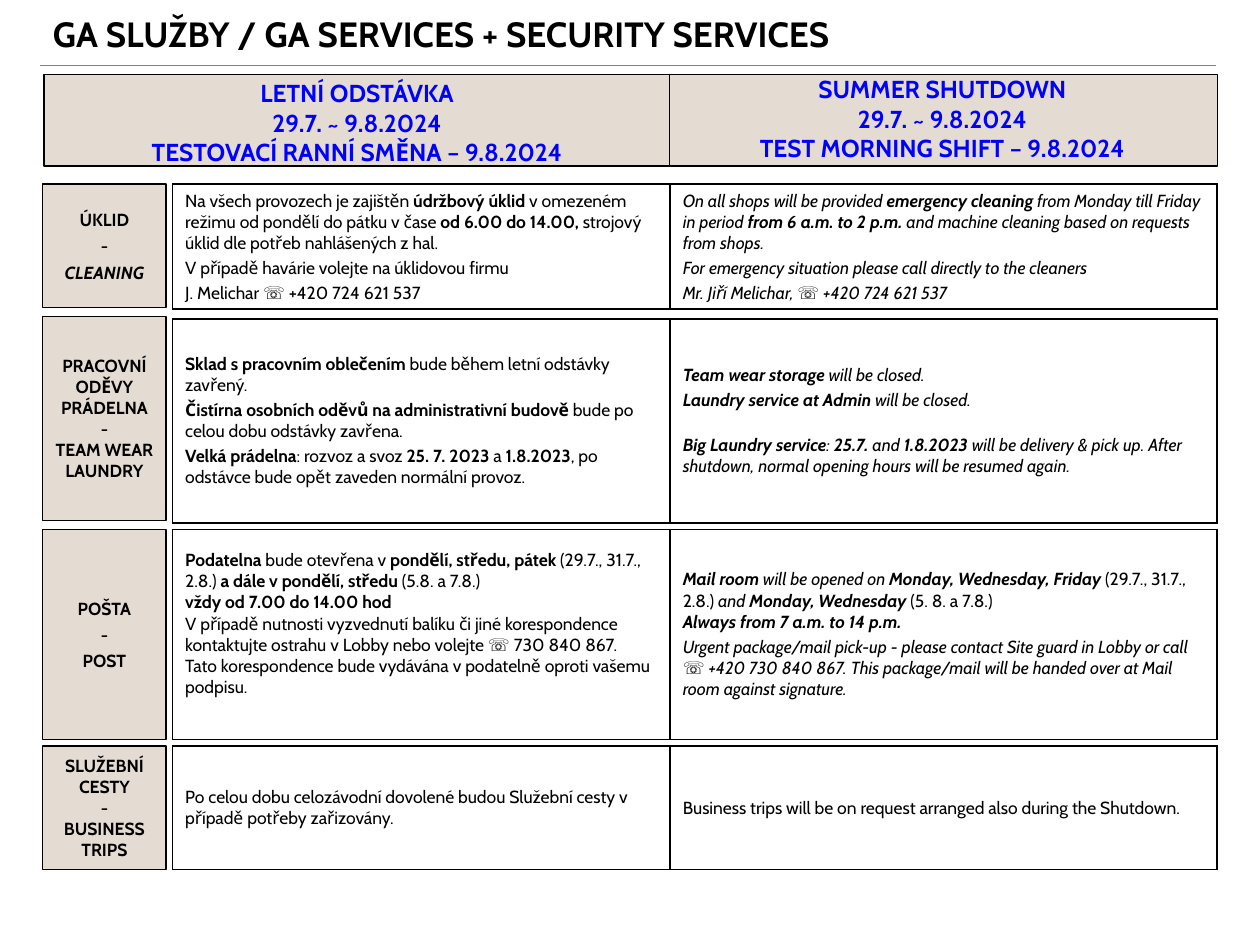
from dataclasses import dataclass

import pptx
import pptx.dml.color
import pptx.enum.shapes
import pptx.enum.text
import pptx.oxml
import pptx.oxml.ns
import pptx.util
from lxml import etree

Cm, Pt = pptx.util.Cm, pptx.util.Pt
RGBColor = pptx.dml.color.RGBColor
MSO_SHAPE = pptx.enum.shapes.MSO_SHAPE
MSO_ANCHOR = pptx.enum.text.MSO_ANCHOR
PP_ALIGN = pptx.enum.text.PP_ALIGN

FONT = "Cabin"
BLACK = RGBColor(0, 0, 0)
WHITE = RGBColor(255, 255, 255)
GREY = RGBColor(0x80, 0x80, 0x80)
BLUE = RGBColor(0, 0, 255)
SAND = RGBColor(0xE4, 0xDC, 0xD3)

LABEL_X, LABEL_W = 0.86, 2.49
TABLE_X, COLUMNS = 3.48, (10.03, 11.02)
DIVIDER_X = 13.49
BAND_TOP, BAND_H = 1.5, 1.85


@dataclass
class Para:
    """Text in which *...* is bold and _..._ switches italic over."""
    text: str
    before: float = 0
    italic: bool = False


@dataclass
class Section:
    top: float
    height: float
    label: list[Para]
    czech: list[Para]
    english: list[Para]
    table_shift: float = 0
    czech_bottom: float = 0.13


def paras(*texts: str, before: float = 0, italic: bool = False) -> list[Para]:
    return [Para(t, before, italic) for t in texts]


SECTIONS = [
    Section(
        3.71, 2.49,
        paras("*ÚKLID*", "*-*", "*_CLEANING_*", before=3),
        paras("Na všech provozech je zajištěn *údržbový úklid *v omezeném režimu od "
              "pondělí do pátku v čase *od 6.00 do 14.00, *strojový úklid dle potřeb "
              "nahlášených z hal.",
              "V případě havárie volejte na úklidovou firmu",
              "J. Melichar ☏ +420 724 621 537", before=2),
        paras("On all shops will be provided *emergency cleaning *from Monday till "
              "Friday in period *from 6 a.m. to 2 p.m. *and machine cleaning based on "
              "requests from shops.",
              "For emergency situation please call directly to the cleaners",
              "Mr. Jiří Melichar, ☏ +420 724 621 537", before=2, italic=True)),
    Section(
        6.38, 4.11,
        paras("*PRACOVNÍ*", "*ODĚVY*", "*PRÁDELNA*", "*-*", "*TEAM WEAR*", "*LAUNDRY*"),
        paras("*Sklad s pracovním oblečením *bude během letní odstávky zavřený.",
              "*Čistírna osobních oděvů na administrativní budově *bude po celou dobu "
              "odstávky zavřena.",
              "*Velká prádelna*: rozvoz a svoz *25. 7. 2023 *a *1.8.2023*, po odstávce "
              "bude opět zaveden normální provoz.", before=2),
        paras("*Team wear storage *will be closed.",
              "*Laundry service at Admin *will be closed.", before=2, italic=True)
        + paras("*Big Laundry service*: *25.7. *and* 1.8.2023 *will be delivery & pick "
                "up. After shutdown, normal opening hours will be resumed again.",
                before=14, italic=True),
        table_shift=0.05),
    Section(
        10.67, 4.24,
        paras("*POŠTA*", "*-*", "*POST*", before=3),
        paras("*Podatelna *bude otevřena v* pondělí, středu, pátek *(29.7., 31.7., 2.8.)"
              "* a dále v pondělí, středu *(5.8. a 7.8.)",
              "*vždy od 7.00 do 14.00 hod*",
              "V případě nutnosti vyzvednutí balíku či jiné korespondence kontaktujte "
              "ostrahu v Lobby nebo volejte ☏ 730 840 867.",
              "Tato korespondence bude vydávána v podatelně oproti vašemu podpisu."),
        paras("*Mail room *will be opened on *Monday, Wednesday, Friday *_(29.7., 31.7., "
              "2.8.) _and* Monday, Wednesday *_(5. 8. a 7.8.)_",
              "*Always from 7 a.m. to 14 p.m.*", italic=True)
        + paras("Urgent package/mail pick-up - please contact Site guard in Lobby or "
                "call ☏ +420 730 840 867. This package/mail will be handed over at Mail "
                "room against signature.", before=2, italic=True),
        czech_bottom=0.55),
    Section(
        15.04, 2.49,
        paras("*SLUŽEBNÍ*", "*CESTY*", "*-*", "*BUSINESS*", "*TRIPS*"),
        paras("Po celou dobu celozávodní dovolené budou Služební cesty v případě "
              "potřeby zařizovány."),
        paras("Business trips will be on request arranged also during the Shutdown.")),
]


def write(tf, content: list[Para], size: float = 10, color: RGBColor = BLACK,
          align=PP_ALIGN.LEFT) -> None:
    for n, para in enumerate(content):
        p = tf.paragraphs[0] if n == 0 else tf.add_paragraph()
        p.alignment = align
        p.space_before = Pt(para.before)
        p.font.name, p.font.size = FONT, Pt(size)
        p.font.color.rgb = color
        for i, chunk in enumerate(para.text.split("*")):
            for j, part in enumerate(chunk.split("_")):
                if part:
                    r = p.add_run()
                    r.text = part
                    r.font.bold = i % 2 == 1
                    r.font.italic = para.italic != (j % 2 == 1)


def add_box(s, x: float, y: float, w: float, h: float):
    sp = s.shapes.add_shape(MSO_SHAPE.RECTANGLE, Cm(x), Cm(y), Cm(w), Cm(h))
    sp.shadow.inherit = False
    sp.fill.solid()
    sp.fill.fore_color.rgb = SAND
    sp.line.color.rgb = BLACK
    sp.line.width = Pt(0.75)
    return sp


def add_line(s, x1: float, y1: float, x2: float, y2: float, color: RGBColor) -> None:
    line = s.shapes.add_connector(pptx.enum.shapes.MSO_CONNECTOR.STRAIGHT,
                                  Cm(x1), Cm(y1), Cm(x2), Cm(y2))
    line.line.color.rgb = color
    line.line.width = Pt(0.75)
    etree.SubElement(line._element.spPr, pptx.oxml.ns.qn("a:effectLst"))


def add_heading(s, x: float, y: float, w: float, h: float, *lines: str) -> None:
    tf = s.shapes.add_textbox(Cm(x), Cm(y), Cm(w), Cm(h)).text_frame
    tf.word_wrap = True
    write(tf, paras(*lines), 14, BLUE, PP_ALIGN.CENTER)


def add_borders(cell) -> None:
    tcPr = cell._tc.get_or_add_tcPr()
    for i, side in enumerate("LRTB"):
        tcPr.insert(i, pptx.oxml.parse_xml(
            f'<a:ln{side} {pptx.oxml.ns.nsdecls("a")} w="12700"><a:solidFill>'
            f'<a:srgbClr val="{BLACK}"/></a:solidFill></a:ln{side}>'))


def add_section(s, section: Section) -> None:
    sp = add_box(s, LABEL_X, section.top, LABEL_W, section.height)
    tf = sp.text_frame
    tf.margin_left = tf.margin_right = tf.margin_top = tf.margin_bottom = 0
    tf.word_wrap = False
    tf.vertical_anchor = MSO_ANCHOR.MIDDLE
    write(tf, section.label, align=PP_ALIGN.CENTER)

    table = s.shapes.add_table(1, 2, Cm(TABLE_X), Cm(section.top + section.table_shift),
                               Cm(sum(COLUMNS)), Cm(section.height)).table
    table.first_row = table.horz_banding = False
    for column, width in zip(table.columns, COLUMNS):
        column.width = Cm(width)
    for cell, content in zip(table.rows[0].cells, (section.czech, section.english)):
        cell.fill.solid()
        cell.fill.fore_color.rgb = WHITE
        cell.vertical_anchor = MSO_ANCHOR.MIDDLE
        add_borders(cell)
        write(cell.text_frame, content)
    table.cell(0, 0).margin_bottom = Cm(section.czech_bottom)


def main() -> None:
    prs = pptx.Presentation()
    prs.slide_width, prs.slide_height = Cm(25.4), Cm(19.05)
    s = prs.slides.add_slide(prs.slide_layouts[5])

    title = s.shapes.title
    title.left, title.top, title.width, title.height = Cm(0.81), Cm(0.13), Cm(17.68), Cm(1.42)
    tf = title.text_frame
    tf.auto_size = pptx.enum.text.MSO_AUTO_SIZE.NONE
    tf.vertical_anchor = MSO_ANCHOR.TOP
    write(tf, paras("*GA SLUŽBY / GA SERVICES + SECURITY SERVICES*"), 20)

    add_line(s, 0.81, 1.32, 24.51, 1.32, GREY)
    add_box(s, 0.89, BAND_TOP, 23.65, BAND_H)
    add_line(s, DIVIDER_X, BAND_TOP, DIVIDER_X, BAND_TOP + BAND_H, BLACK)
    dates = "*29.7. ~ 9.8.2024*"
    add_heading(s, 0.89, 1.45, 12.62, 2.06, "*LETNÍ ODSTÁVKA*", dates,
                "*TESTOVACÍ RANNÍ SMĚNA – 9.8.2024*")
    add_heading(s, DIVIDER_X, 1.37, 11.02, 2.06, "*SUMMER SHUTDOWN*", dates,
                "*TEST MORNING SHIFT – 9.8.2024*")
    for section in SECTIONS:
        add_section(s, section)
    prs.save("out.pptx")


if __name__ == "__main__":
    main()
